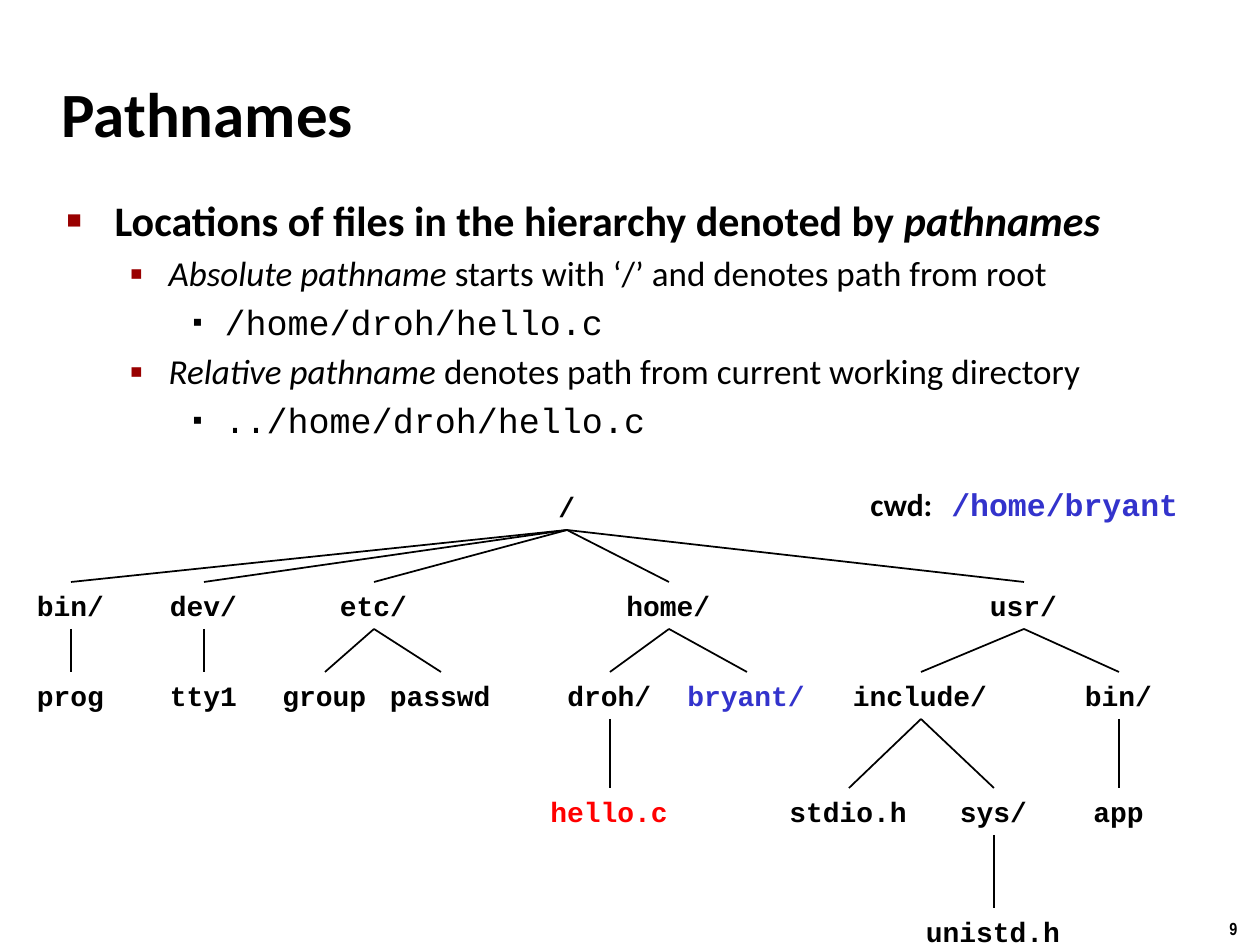
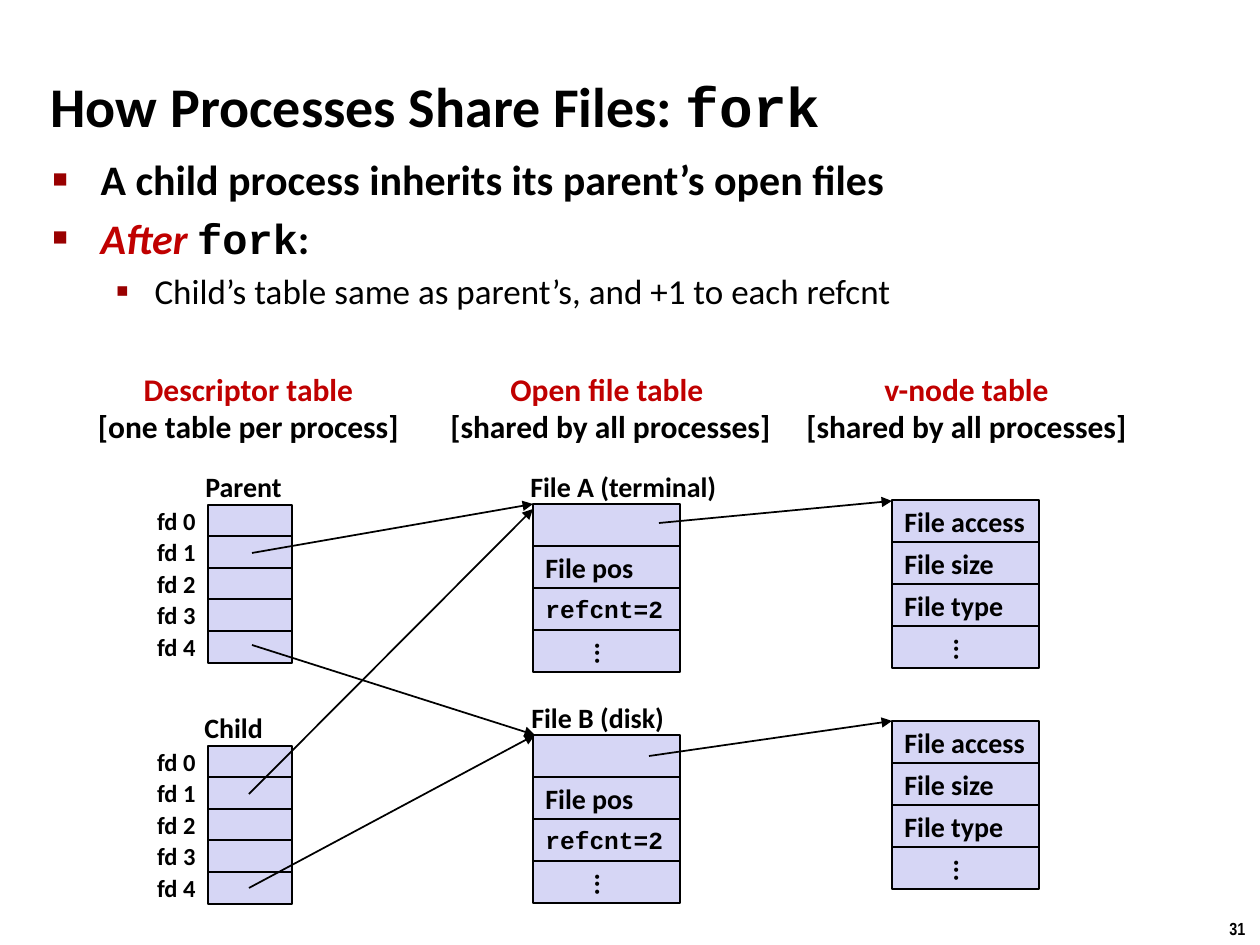
from dataclasses import dataclass

from lxml.etree import SubElement
from pptx import Presentation
from pptx.dml.color import RGBColor
from pptx.enum.shapes import MSO_CONNECTOR, MSO_SHAPE
from pptx.enum.text import MSO_ANCHOR, MSO_AUTO_SIZE, PP_ALIGN
from pptx.oxml.ns import qn
from pptx.util import Pt

SCALE = 914400 / 126


@dataclass(frozen=True)
class Theme:
    sans: str = "Calibri"
    mono: str = "Courier New"
    thin: str = "Arial Narrow"
    ink: str = "000000"
    mark: str = "990000"
    dark: str = "C00000"
    red: str = "FF0000"
    blue: str = "3333CC"
    cell: str = "D6D6F5"
    head: int = 36
    small: int = 32
    lists: tuple = (24, 20, 20)
    note: int = 18
    label: int = 16
    code: int = 14
    page: int = 10


T = Theme()
MONO = {"font": T.mono}
BULLETS = (
    ("■", T.mark, 60, 48, -48),
    ("▪", T.mark, 110, 102, -39),
    ("▪", T.ink, 80, 158, -32),
)
ROWS = (483, 582, 672, 788, 908)
NODE = 47
TREE = ("/", 567, T.ink, [
    ("bin/", 71, T.ink, [("prog", 71, T.ink, [])]),
    ("dev/", 204, T.ink, [("tty1", 204, T.ink, [])]),
    ("etc/", 374, T.ink, [
        ("group", 325, T.ink, []),
        ("passwd", 441, T.ink, []),
    ]),
    ("home/", 669, T.ink, [
        ("droh/", 610, T.ink, [("hello.c", 610, T.red, [])]),
        ("bryant/", 747, T.blue, []),
    ]),
    ("usr/", 1024, T.ink, [
        ("include/", 921, T.ink, [
            ("stdio.h", 849, T.ink, []),
            ("sys/", 994, T.ink, [("unistd.h", 994, T.ink, [])]),
        ]),
        ("bin/", 1119, T.ink, [("app", 1119, T.ink, [])]),
    ]),
])
OPEN = ("", "File pos", "refcnt=2", "...")
VNODE = ("File access", "File size", "File type", "...")


def px(*sizes):
    return [round(size * SCALE) for size in sizes]


def add_run(para, text, size, font=T.sans, color=T.ink, bold=True, ital=False):
    run = para.add_run()
    run.text = text
    face = run.font
    face.size, face.name, face.bold, face.italic = Pt(size), font, bold, ital
    face.color.rgb = RGBColor.from_string(color)


def place(shape, x, y, w, h):
    shape.left, shape.top, shape.width, shape.height = px(x, y, w, h)


def add_title(slide, x, y, size, runs):
    title = slide.shapes.title
    place(title, x, y, 1046, 104)
    frame = title.text_frame
    frame.auto_size = MSO_AUTO_SIZE.NONE
    frame.vertical_anchor = MSO_ANCHOR.MIDDLE
    para = frame.paragraphs[0]
    para.alignment = PP_ALIGN.LEFT
    for text, look in runs:
        add_run(para, text, size, **look)


def set_bullet(para, level):
    char, color, size, left, hang = BULLETS[level]
    props = para._p.get_or_add_pPr()
    left, hang = px(left, hang)
    props.set("marL", str(left))
    props.set("indent", str(hang))
    fill = SubElement(props, qn("a:buClr"))
    SubElement(fill, qn("a:srgbClr"), val=color)
    SubElement(props, qn("a:buSzPct"), val=str(size * 1000))
    SubElement(props, qn("a:buFont"), typeface="Arial")
    SubElement(props, qn("a:buChar"), char=char)


def add_list(slide, box, lines):
    body = slide.placeholders[1]
    place(body, *box)
    frame = body.text_frame
    frame.auto_size = MSO_AUTO_SIZE.NONE
    for i, (level, runs) in enumerate(lines):
        para = frame.add_paragraph() if i else frame.paragraphs[0]
        para.level = level
        set_bullet(para, level)
        for text, look in runs:
            add_run(para, text, T.lists[level], bold=level == 0, **look)


def add_label(slide, box, lines, size, align=PP_ALIGN.LEFT, grow=True):
    frame = slide.shapes.add_textbox(*px(*box)).text_frame
    frame.word_wrap = False
    frame.vertical_anchor = MSO_ANCHOR.MIDDLE
    if grow:
        frame.auto_size = MSO_AUTO_SIZE.SHAPE_TO_FIT_TEXT
    for i, runs in enumerate(lines):
        para = frame.add_paragraph() if i else frame.paragraphs[0]
        para.alignment = align
        for text, look in runs:
            add_run(para, text, size, **look)


def add_line(slide, start, end, arrow=False):
    line = slide.shapes.add_connector(
        MSO_CONNECTOR.STRAIGHT, *px(*start, *end))
    line.line.width = Pt(1)
    line.line.color.rgb = RGBColor.from_string(T.ink)
    if arrow:
        SubElement(line.line._get_or_add_ln(), qn("a:tailEnd"), type="triangle")
    SubElement(line._element.spPr, qn("a:effectLst"))


def add_cell(slide, box, text):
    cell = slide.shapes.add_shape(MSO_SHAPE.RECTANGLE, *px(*box))
    cell.shadow.inherit = False
    cell.fill.solid()
    cell.fill.fore_color.rgb = RGBColor.from_string(T.cell)
    cell.line.color.rgb = RGBColor.from_string(T.ink)
    cell.line.width = Pt(1)
    if not text:
        return
    frame = cell.text_frame
    frame.word_wrap = False
    frame.vertical_anchor = MSO_ANCHOR.MIDDLE
    para = frame.paragraphs[0]
    para.alignment = PP_ALIGN.LEFT
    if text == "...":
        frame._txBody.bodyPr.set("vert", "eaVert")
    if "=" in text:
        add_run(para, text, T.code, T.mono)
    else:
        add_run(para, text, T.label)


def split(top, total, count):
    edges = [top + total * i // count for i in range(count + 1)]
    return [(a, b - a) for a, b in zip(edges, edges[1:])]


def add_stack(slide, x, y, w, total, texts):
    for (top, h), text in zip(split(y, total, len(texts)), texts):
        add_cell(slide, (x, top, w, h), text)


def add_fds(slide, y):
    add_stack(slide, 208, y, 84, 158, [""] * 5)
    for i, (top, h) in enumerate(split(y, 158, 5)):
        add_label(slide, (124, top, 84, h), [[(f"fd {i}", {})]],
                  T.code, PP_ALIGN.RIGHT, False)


def add_node(slide, node, depth=0):
    name, x, color, kids = node
    y = ROWS[depth]
    w = 17 * len(name) + 25
    look = {"font": T.mono, "color": color}
    add_label(slide, (x - w / 2, y, w, NODE), [[(name, look)]], T.label)
    for kid in kids:
        add_line(slide, (x, y + NODE), (kid[1], ROWS[depth + 1]))
        add_node(slide, kid, depth + 1)


def add_slide(deck, page):
    slide = deck.slides.add_slide(deck.slide_layouts[1])
    add_label(slide, (1217, 911, 43, 34),
              [[(page, {"font": T.thin})]], T.page)
    return slide


def draw_names(deck):
    slide = add_slide(deck, "9")
    ital = {"ital": True}
    add_title(slide, 49, 60, T.head, [("Pathnames", {})])
    add_list(slide, (54, 188, 1174, 263), [
        (0, [("Locations of files in the hierarchy denoted by ", {}),
             ("pathnames", ital)]),
        (1, [("Absolute pathname ", ital),
             ("starts with ‘/’ and denotes path from root", {})]),
        (2, [("/home/droh/hello.c", MONO)]),
        (1, [("Relative pathname ", ital),
             ("denotes path from current working directory", {})]),
        (2, [("../home/droh/hello.c", MONO)]),
    ])
    add_node(slide, TREE)
    add_label(slide, (858, 479, 336, 50), [
        [("cwd:", {}),
         (" /home/bryant", {"font": T.mono, "color": T.blue})]], T.note)


def draw_fork(deck):
    slide = add_slide(deck, "31")
    add_title(slide, 38, 53, T.small,
              [("How Processes Share Files: ", {}), ("fork", MONO)])
    add_list(slide, (40, 147, 1145, 179), [
        (0, [("A child process inherits its parent’s open files", {})]),
        (0, [("After ", {"color": T.dark, "ital": True}),
             ("fork", MONO), (":", {})]),
        (1, [("Child’s table same as parent’s, and +1 to each refcnt", {})]),
    ])
    for x, w, name, note in (
        (84, 329, "Descriptor table", "[one table per process]"),
        (436, 349, "Open file table ", "[shared by all processes]"),
        (792, 349, "v-node table", "[shared by all processes]"),
    ):
        add_label(slide, (x, 363, w, 89),
                  [[(name, {"color": T.dark})], [(note, {})]],
                  T.note, PP_ALIGN.CENTER)
    for y in (505, 746):
        add_fds(slide, y)
    for x, y, texts in (
        (533, 504, OPEN), (533, 735, OPEN),
        (892, 500, VNODE), (892, 721, VNODE),
    ):
        add_stack(slide, x, y, 147, 168, texts)
    for x, y, w, text in (
        (193, 463, 102, "Parent"), (192, 704, 84, "Child"),
        (518, 463, 213, "File A (terminal)"), (519, 694, 160, "File B (disk)"),
    ):
        add_label(slide, (x, y, w, NODE), [[(text, {})]], T.label)
    for start, end in (
        ((252, 553), (533, 504)), ((252, 645), (535, 735)),
        ((249, 794), (533, 509)), ((249, 888), (535, 735)),
        ((659, 523), (892, 501)), ((649, 756), (892, 721)),
    ):
        add_line(slide, start, end, True)


def main():
    deck = Presentation()
    deck.slide_width, deck.slide_height = px(1260, 945)
    draw_names(deck)
    draw_fork(deck)
    deck.save("out.pptx")


if __name__ == "__main__":
    main()
